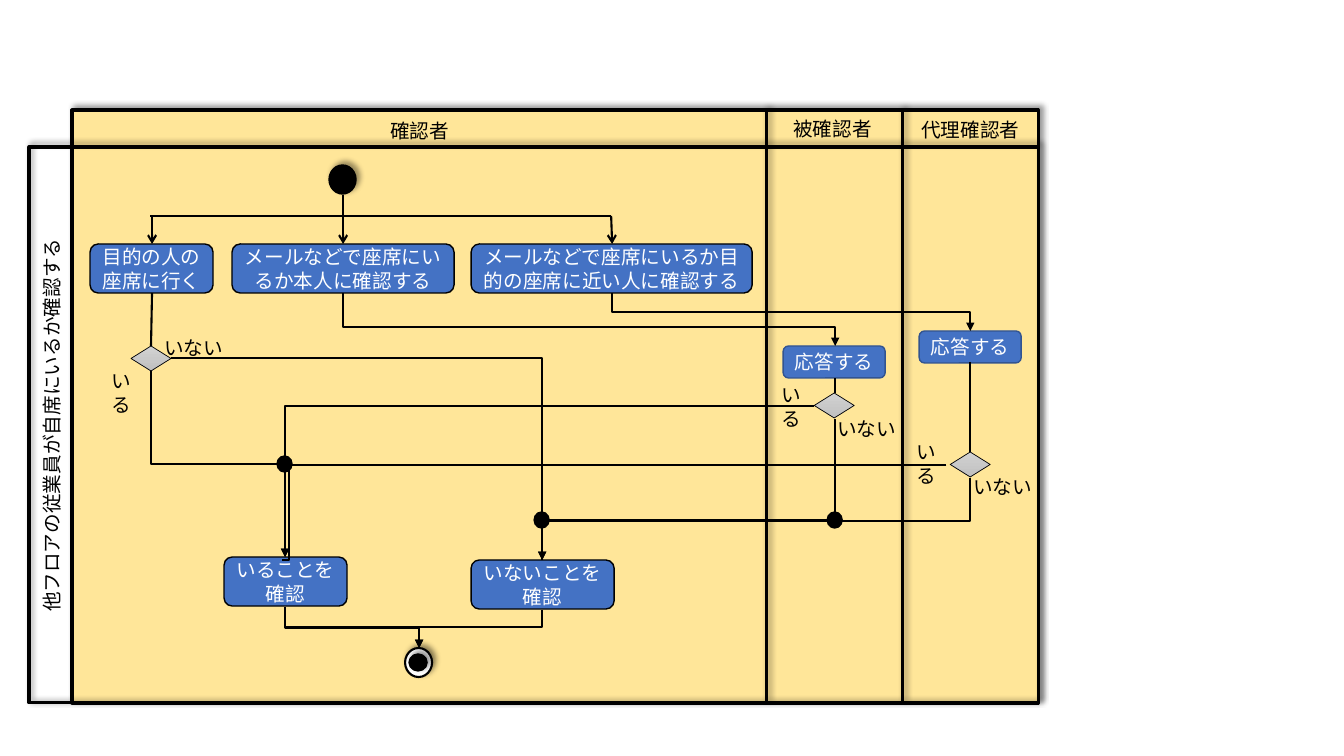
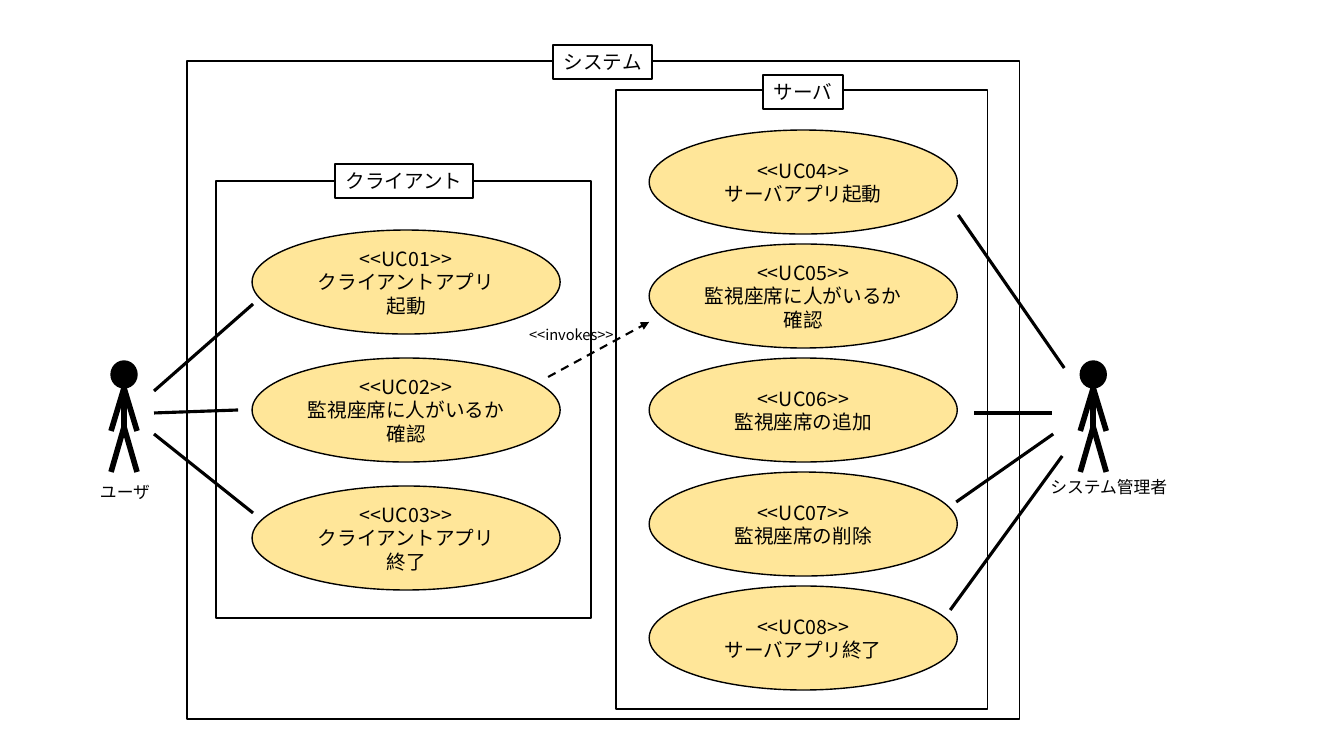
from dataclasses import dataclass
from math import cos, radians, sin

from lxml.etree import SubElement
from pptx import Presentation
from pptx.dml.color import RGBColor
from pptx.enum.dml import MSO_LINE
from pptx.enum.shapes import MSO_CONNECTOR as LINK, MSO_SHAPE as SHAPE
from pptx.enum.text import MSO_ANCHOR as ANCHOR, MSO_AUTO_SIZE as FIT, PP_ALIGN as ALIGN
from pptx.oxml.ns import qn
from pptx.util import Inches, Pt

EMU_PER_PIXEL = 914400 / 100.8


@dataclass(frozen=True)
class Theme:
    font: str = "Noto Sans CJK JP"
    ink: str = "000000"
    paper: str = "FFFFFF"
    sand: str = "FFE699"
    blue: str = "4472C4"
    navy: str = "325491"
    silver_top: str = "D2D2D2"
    silver_bottom: str = "C0C0C0"
    text: float = 14
    caption: float = 12
    note: float = 10.5
    hair: float = 0.5
    thin: float = 1
    medium: float = 1.5
    thick: float = 2.25
    limb: float = 4


THEME = Theme()


def px(*values):
    return [round(value * EMU_PER_PIXEL) for value in values]


def rgb(value):
    return RGBColor.from_string(value)


def set_effects(item, shadow):
    properties = item._element.spPr
    effects = properties.find(qn("a:effectLst"))
    if effects is None:
        effects = SubElement(properties, qn("a:effectLst"))
    if shadow:
        outer = SubElement(effects, qn("a:outerShdw"), blurRad=str(Pt(4)), dist=str(Pt(3)),
                           dir="18900000", algn="bl", rotWithShape="0")
        colour = SubElement(outer, qn("a:srgbClr"), val=THEME.ink)
        SubElement(colour, qn("a:alpha"), val="40000")


def write(box, lines, size=THEME.text, colour=THEME.ink, align=ALIGN.CENTER,
          margins=(5, 0), anchor=ANCHOR.MIDDLE):
    frame = box.text_frame
    frame.word_wrap = True
    frame.vertical_anchor = anchor
    frame.margin_left = frame.margin_right = px(margins[0])[0]
    frame.margin_top = frame.margin_bottom = px(margins[1])[0]
    frame.text = lines
    for para in frame.paragraphs:
        para.alignment = align
        for span in para.runs:
            span.font.size = Pt(size)
            span.font.name = THEME.font
            span.font.color.rgb = rgb(colour)
            SubElement(span._r.get_or_add_rPr(), qn("a:ea"), typeface=THEME.font)


def add_box(shapes, kind, at, fill=None, line=THEME.ink, width=THEME.thin, shadow=False):
    box = shapes.add_shape(kind, *px(*at))
    box.shadow.inherit = False
    if fill:
        box.fill.solid()
        box.fill.fore_color.rgb = rgb(fill)
    else:
        box.fill.background()
    box.line.color.rgb = rgb(line)
    box.line.width = Pt(width)
    if shadow:
        set_effects(box, True)
    return box


def add_label(shapes, text, at, size=THEME.text, rotation=0):
    box = shapes.add_textbox(*px(*at))
    write(box, text, size, align=ALIGN.LEFT, margins=(10, 5), anchor=ANCHOR.TOP)
    box.text_frame.auto_size = FIT.SHAPE_TO_FIT_TEXT
    box.rotation = rotation


def add_line(shapes, start, end, width=THEME.medium, head=None, kind=LINK.STRAIGHT,
             shadow=False, dashed=False):
    line = shapes.add_connector(kind, *px(*start, *end))
    line.line.color.rgb = rgb(THEME.ink)
    line.line.width = Pt(width)
    if dashed:
        line.line.dash_style = MSO_LINE.DASH
    if head:
        SubElement(line.line._get_or_add_ln(), qn("a:tailEnd"), type=head)
    set_effects(line, shadow)
    return line


def turn(point, centre, degrees):
    across, down = point[0] - centre[0], point[1] - centre[1]
    cosine, sine = round(cos(radians(degrees))), round(sin(radians(degrees)))
    return (centre[0] + across * cosine - down * sine,
            centre[1] + across * sine + down * cosine)


def add_elbow(shapes, start, end, rotation, bend=None, head="triangle"):
    centre = ((start[0] + end[0]) / 2, (start[1] + end[1]) / 2)
    elbow = add_line(shapes, turn(start, centre, -rotation), turn(end, centre, -rotation),
                     head=head, kind=LINK.ELBOW)
    properties = elbow._element.spPr
    if rotation:
        properties.find(qn("a:xfrm")).set("rot", str(rotation * 60000))
    geometry = properties.find(qn("a:prstGeom"))
    if bend is None:
        geometry.set("prst", "bentConnector2")
    else:
        guides = geometry.find(qn("a:avLst"))
        if guides is None:
            guides = SubElement(geometry, qn("a:avLst"))
        SubElement(guides, qn("a:gd"), name="adj1", fmla=f"val {round(bend * 100000)}")


def add_action(shapes, text, at, line=THEME.ink):
    write(add_box(shapes, SHAPE.ROUNDED_RECTANGLE, at, THEME.blue, line), text,
          colour=THEME.paper)


def add_decision(shapes, left, top):
    diamond = add_box(shapes, SHAPE.DIAMOND, (left, top, 40, 25), width=THEME.hair)
    diamond.fill.gradient()
    diamond.fill.gradient_angle = 270
    for stop, colour in zip(diamond.fill.gradient_stops,
                            (THEME.silver_top, THEME.silver_bottom)):
        stop.color.rgb = rgb(colour)


def add_actor(shapes, centre, name, label_at):
    group = shapes.add_group_shape().shapes
    add_box(group, SHAPE.OVAL, (centre - 13, 361, 26, 27), THEME.ink)
    neck, hip = (centre, 388), (centre, 427)
    add_line(group, neck, (centre, 431), THEME.limb)
    for side in (-13, 13):
        add_line(group, neck, (centre + side, 431), THEME.limb)
        add_line(group, hip, (centre + side, 472), THEME.limb)
    add_label(shapes, name, label_at, THEME.caption)


def add_boundary(shapes, name, frame_at, tag_at):
    add_box(shapes, SHAPE.RECTANGLE, frame_at)
    tag = add_box(shapes, SHAPE.RECTANGLE, tag_at, THEME.paper, width=THEME.medium)
    write(tag, name)


def add_use_cases(shapes, left, top, step, first, names):
    for index, name in enumerate(names):
        oval = add_box(shapes, SHAPE.OVAL, (left, top + index * step, 308, 104), THEME.sand)
        write(oval, f"<<UC{first + index:02}>>\n{name}")


def build_activity(shapes):
    add_box(shapes, SHAPE.RECTANGLE, (72, 110, 966, 593), THEME.sand,
            width=THEME.thick, shadow=True)
    add_box(shapes, SHAPE.RECTANGLE, (29, 147, 1009, 556), width=THEME.thick, shadow=True)
    for divider in (766, 902):
        add_line(shapes, (divider, 110), (divider, 703), THEME.thick, shadow=True)
    for lane, at in (("確認者", (380, 114, 81, 34)),
                     ("被確認者", (783, 112, 101, 34)),
                     ("代理確認者", (911, 113, 119, 36))):
        add_label(shapes, lane, at)
    add_label(shapes, "他フロアの従業員が自席にいるか確認する", (-148, 410, 395, 29), rotation=270)

    add_box(shapes, SHAPE.OVAL, (329, 165, 27, 29), THEME.ink, shadow=True)
    final = shapes.add_group_shape().shapes
    add_box(final, SHAPE.OVAL, (405, 648, 27, 29), THEME.paper,
            width=THEME.medium, shadow=True)
    add_box(final, SHAPE.OVAL, (409, 654, 18, 17), THEME.ink, shadow=True)

    for text, at in (("目的の人の座席に行く", (90, 244, 123, 49)),
                     ("メールなどで座席にいるか本人に確認する", (232, 244, 222, 49)),
                     ("メールなどで座席にいるか目的の座席に近い人に確認する", (471, 244, 281, 49)),
                     ("いることを確認", (224, 557, 123, 49)),
                     ("いないことを確認", (471, 560, 143, 49))):
        add_action(shapes, text, at)
    for left, top in ((783, 346), (919, 331)):
        add_action(shapes, "応答する", (left, top, 102, 32), THEME.navy)

    add_line(shapes, (611, 216), (150, 216))
    for start, end in (((343, 195), (343, 244)), ((152, 216), (152, 244)),
                       ((611, 216), (612, 244))):
        add_line(shapes, start, end, head="arrow")
    for start, end in (((835, 378), (835, 393)), ((970, 362), (970, 452)),
                       ((152, 293), (151, 346))):
        add_line(shapes, start, end)

    present, absent, finish = (285, 557), (542, 560), (419, 648)
    add_elbow(shapes, (343, 293), (835, 346), 270, 0.64)
    add_elbow(shapes, (612, 293), (970, 331), 270, 0.5)
    add_elbow(shapes, (542, 610), finish, 90, 0.45)
    add_elbow(shapes, (285, 607), finish, 270, 0.5)
    add_elbow(shapes, (835, 419), absent, 90, 0.72)
    add_elbow(shapes, (814, 406), present, 180)
    add_elbow(shapes, (970, 478), absent, 90, 0.53, head=None)
    add_elbow(shapes, (946, 465), (282, 560), 180, 0.99, head=None)
    add_elbow(shapes, (171, 358), absent, 0)
    add_elbow(shapes, (151, 371), present, 270, 0.5)

    for left, top in ((814, 393), (950, 452), (131, 346)):
        add_decision(shapes, left, top)
    for left, top in ((277, 456), (534, 512), (827, 512)):
        add_box(shapes, SHAPE.OVAL, (left, top, 15, 16), THEME.ink)
    for left, top in ((101, 364), (771, 378), (906, 435)):
        add_label(shapes, "いる", (left, top, 59, 28))
    for left, top in ((154, 331), (827, 412), (963, 470)):
        add_label(shapes, "いない", (left, top, 80, 27))


def build_use_cases(shapes):
    add_boundary(shapes, "システム", (187, 61, 832, 658), (553, 45, 99, 34))
    add_boundary(shapes, "クライアント", (216, 181, 375, 437), (335, 164, 138, 34))
    add_boundary(shapes, "サーバ", (616, 90, 371, 619), (763, 75, 80, 34))
    add_use_cases(shapes, 252, 230, 128, 1, (
        "クライアントアプリ\n起動", "監視座席に人がいるか確認", "クライアントアプリ\n終了"))
    add_use_cases(shapes, 649, 130, 114, 4, (
        "サーバアプリ起動", "監視座席に人がいるか確認", "監視座席の追加",
        "監視座席の削除", "サーバアプリ終了"))
    add_actor(shapes, 124, "ユーザ", (90, 477, 80, 30))
    add_actor(shapes, 1093, "システム管理者", (1040, 472, 139, 30))
    for start, end in (((154, 391), (253, 304)), ((154, 413), (238, 410)),
                       ((154, 434), (253, 513)), ((958, 215), (1064, 368)),
                       ((974, 413), (1052, 413)), ((956, 502), (1053, 434)),
                       ((950, 610), (1062, 456))):
        add_line(shapes, start, end, THEME.thick)
    add_line(shapes, (548, 377), (649, 322), head="triangle", dashed=True)
    add_label(shapes, "<<invokes>>", (519, 321, 116, 45), THEME.note)


def main():
    deck = Presentation()
    deck.slide_width, deck.slide_height = Inches(13.33), Inches(7.5)
    blank = deck.slide_layouts[6]
    for build in (build_activity, build_use_cases):
        page = deck.slides.add_slide(blank)
        build(page.shapes)
    deck.save("out.pptx")


main()
